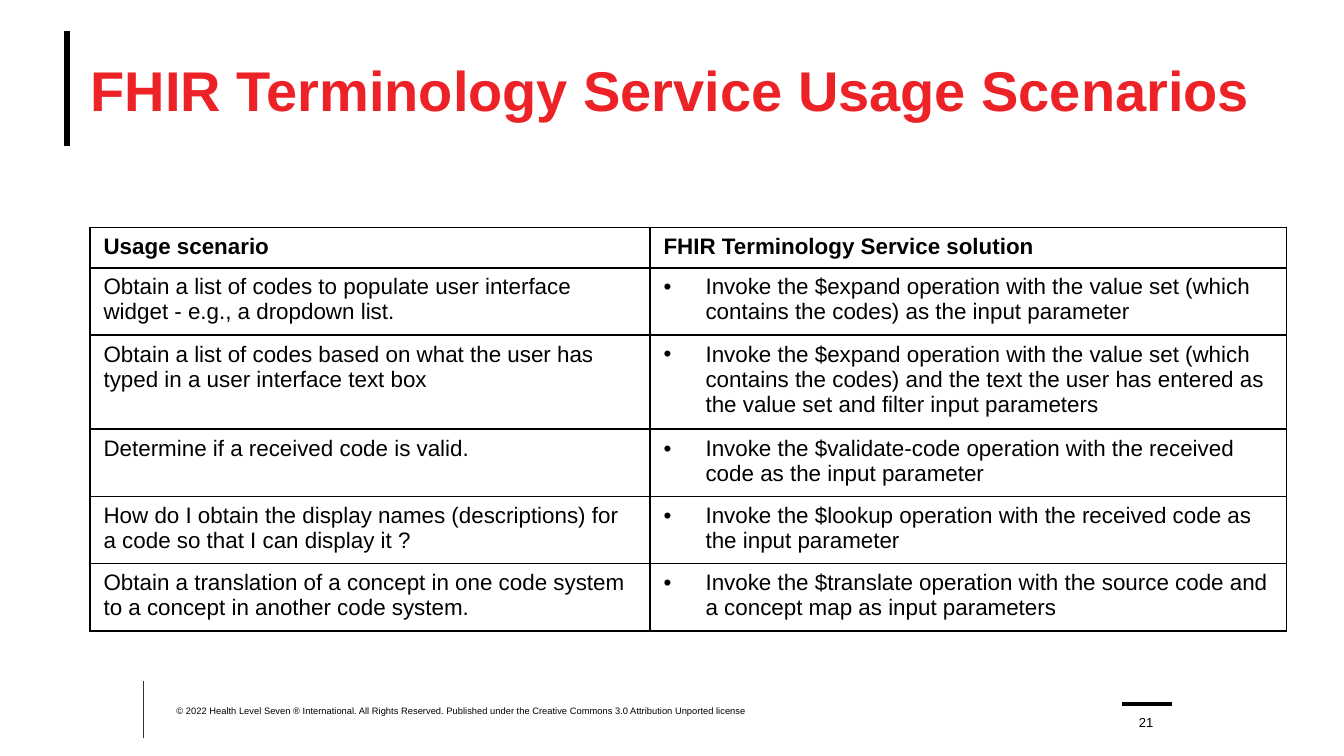
import pptx
import pptx.dml.color
import pptx.enum.shapes
import pptx.enum.text
import pptx.oxml
import pptx.oxml.ns
import pptx.util

Pt = pptx.util.Pt
RGBColor = pptx.dml.color.RGBColor
Align = pptx.enum.text.PP_ALIGN
Anchor = pptx.enum.text.MSO_ANCHOR

BLACK = RGBColor(0x00, 0x00, 0x00)
BROWN = RGBColor(0x3D, 0x30, 0x29)
RED = RGBColor(0xEC, 0x22, 0x27)
FONT = "Arial"
BULLET_INDENT = 22.5

COLUMN_WIDTHS = [300, 341]
ROW_HEIGHTS = [20.8, 34, 47.6, 34, 34, 34]
SCENARIOS = [
    ("Usage scenario", "FHIR Terminology Service solution"),
    ("Obtain a list of codes to populate user interface widget - e.g., a dropdown list.",
     "Invoke the $expand operation with the value set (which contains the codes) "
     "as the input parameter"),
    ("Obtain a list of codes based on what the user has typed in a user interface text box",
     "Invoke the $expand operation with the value set (which contains the codes) "
     "and the text the user has entered as the value set and filter input parameters"),
    ("Determine if a received code is valid.",
     "Invoke the $validate-code operation with the received code as the input parameter"),
    ("How do I obtain the display names (descriptions) for a code so that I can display it ?",
     "Invoke the $lookup operation with the received code as the input parameter"),
    ("Obtain a translation of a concept in one code system to a concept in another code system.",
     "Invoke the $translate operation with the source code and a concept map "
     "as input parameters"),
]


def add_element(parent, tag, **attributes):
    element = pptx.oxml.parse_xml(f"<{tag} {pptx.oxml.ns.nsdecls('a')}/>")
    for name, value in attributes.items():
        element.set(name, str(value))
    parent.append(element)
    return element


def write_text(frame, text, size=12, color=BLACK, bold=False, align=Align.LEFT, bullet=False):
    frame.word_wrap = True
    para = frame.paragraphs[0]
    para.alignment = align
    if bullet:
        properties = para._p.get_or_add_pPr()
        properties.set("marL", str(Pt(BULLET_INDENT)))
        properties.set("indent", str(-Pt(BULLET_INDENT)))
        add_element(properties, "a:buFont", typeface=FONT)
        add_element(properties, "a:buChar", char="•")
    span = para.add_run()
    span.text = text
    span.font.name = FONT
    span.font.size = Pt(size)
    span.font.bold = bold
    span.font.color.rgb = color


def add_text_box(page, text, left, top, width, height, anchor, **text_format):
    box = page.shapes.add_textbox(Pt(left), Pt(top), Pt(width), Pt(height))
    frame = box.text_frame
    frame.margin_left = frame.margin_top = frame.margin_right = frame.margin_bottom = 0
    frame.vertical_anchor = anchor
    write_text(frame, text, **text_format)


def add_line(page, start, end, color, width):
    line = page.shapes.add_connector(
        pptx.enum.shapes.MSO_CONNECTOR.STRAIGHT, *map(Pt, start + end))
    line.line.color.rgb = color
    line.line.width = Pt(width)
    add_element(line._element.spPr, "a:effectLst")


def set_borders(cell, color, width):
    properties = cell._tc.get_or_add_tcPr()
    for position, side in enumerate(("a:lnL", "a:lnR", "a:lnT", "a:lnB")):
        border = add_element(properties, side, w=Pt(width))
        fill = add_element(border, "a:solidFill")
        add_element(fill, "a:srgbClr", val=color)
        properties.insert(position, border)


def add_scenario_table(page, left, top):
    table = page.shapes.add_table(
        len(SCENARIOS), len(COLUMN_WIDTHS), Pt(left), Pt(top),
        Pt(sum(COLUMN_WIDTHS)), Pt(sum(ROW_HEIGHTS))).table
    table.horz_banding = False
    for column, width in zip(table.columns, COLUMN_WIDTHS):
        column.width = Pt(width)
    for row_index, (row, texts) in enumerate(zip(table.rows, SCENARIOS)):
        row.height = Pt(ROW_HEIGHTS[row_index])
        is_header = row_index == 0
        for column_index, (cell, text) in enumerate(zip(row.cells, texts)):
            cell.fill.background()
            set_borders(cell, BLACK, 1)
            write_text(cell.text_frame, text, bold=is_header,
                       bullet=column_index == 1 and not is_header)


def main():
    deck = pptx.Presentation()
    deck.slide_width = Pt(720)
    deck.slide_height = Pt(405)
    page = deck.slides.add_slide(deck.slide_layouts[6])

    add_line(page, (36, 16.5), (36, 78), BLACK, 3.25)
    add_line(page, (77, 365), (77, 395.5), BROWN, 0.5)
    add_line(page, (601, 377), (628, 377), BLACK, 2)

    add_text_box(page, "FHIR Terminology Service Usage Scenarios", 48.5, 16.5, 648, 62,
                 Anchor.MIDDLE, size=30, color=RED, bold=True)
    add_text_box(page, "© 2022 Health Level Seven ® International. All Rights Reserved. "
                 "Published under the Creative Commons 3.0 Attribution Unported license",
                 94.5, 378, 356, 12, Anchor.TOP, size=5)
    add_text_box(page, "21", 603, 379, 22, 12, Anchor.BOTTOM, size=7, align=Align.CENTER)

    add_scenario_table(page, 48.3, 121.8)
    deck.save("out.pptx")


if __name__ == "__main__":
    main()
